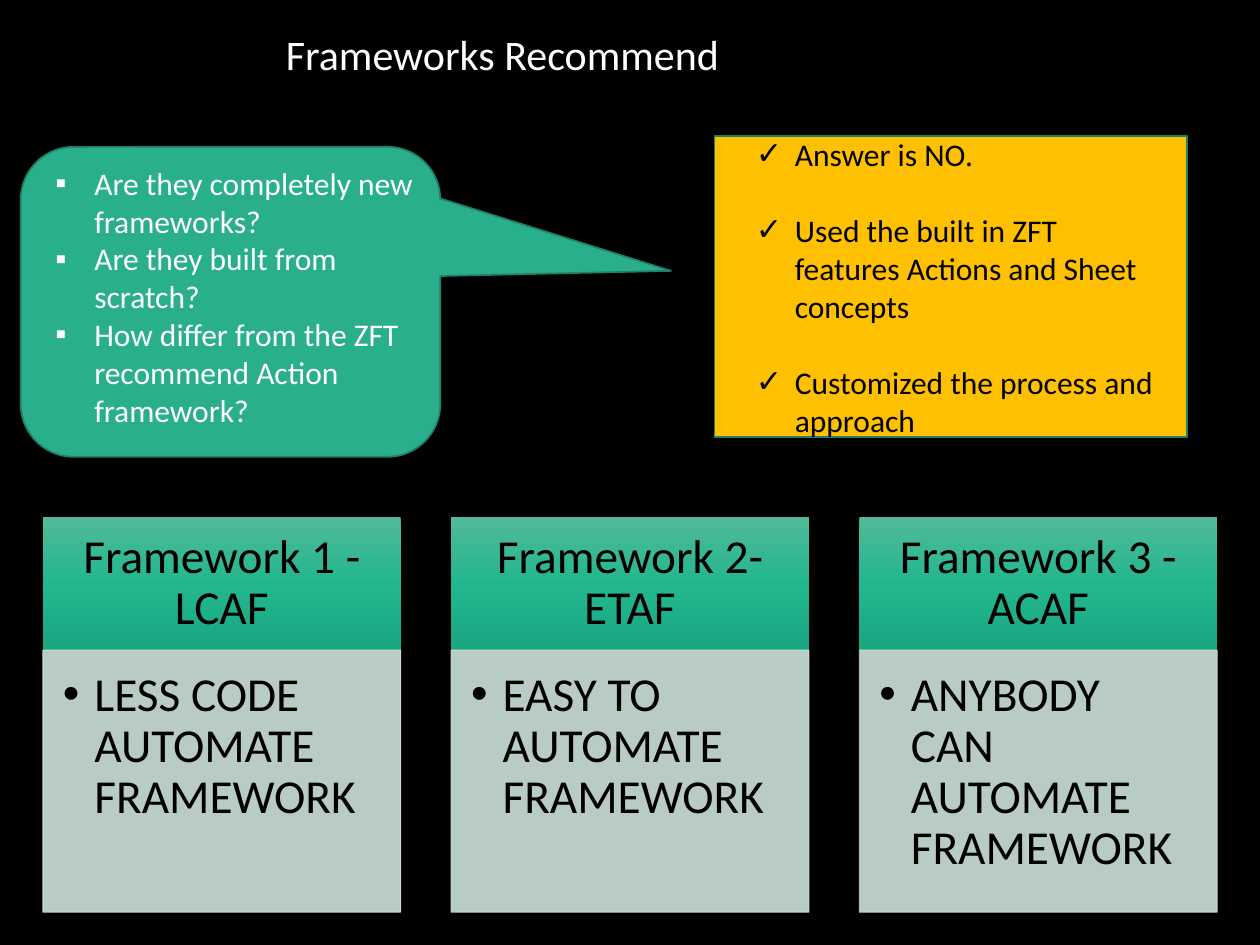
from copy import deepcopy

from lxml.etree import SubElement
from pptx import Presentation
from pptx.dml.color import RGBColor
from pptx.enum.shapes import MSO_SHAPE
from pptx.enum.text import MSO_ANCHOR, PP_ALIGN
from pptx.oxml.ns import qn
from pptx.util import Inches, Pt

BLACK = RGBColor(0x00, 0x00, 0x00)
WHITE = RGBColor(0xFF, 0xFF, 0xFF)
GREEN = RGBColor(0x29, 0xAF, 0x8C)
DARK_GREEN = RGBColor(0x1E, 0x81, 0x68)
AMBER = RGBColor(0xFF, 0xC0, 0x00)
PALE_GREEN = RGBColor(0xCD, 0xE3, 0xDA)
HEADER_STOPS = [
    (0, RGBColor(0x52, 0xBA, 0x9A)),
    (0.5, RGBColor(0x22, 0xB6, 0x8F)),
    (1, RGBColor(0x19, 0xA7, 0x82)),
]

FRAMEWORKS = [
    ("Framework 1 - LCAF", "LESS CODE AUTOMATE FRAMEWORK"),
    ("Framework 2- ETAF", "EASY TO AUTOMATE FRAMEWORK"),
    ("Framework 3 - ACAF", "ANYBODY CAN AUTOMATE FRAMEWORK"),
]
QUESTIONS = [
    "Are they completely new frameworks?",
    "Are they built from scratch?",
    "How differ from the ZFT recommend Action framework?",
]
ANSWERS = [
    "Answer is NO.",
    "Used the built in ZFT features Actions and Sheet concepts",
    "Customized the process and approach",
]


def write(tf, lines, size=18, color=BLACK, align=PP_ALIGN.LEFT, anchor=MSO_ANCHOR.TOP,
          insets=(0.1, 0.05, 0.1, 0.05), bullet=None, indent=0.31, spacing=1.0, gap=0):
    tf.word_wrap = True
    tf.vertical_anchor = anchor
    tf.margin_left, tf.margin_top, tf.margin_right, tf.margin_bottom = map(Inches, insets)
    for i, line in enumerate(lines):
        p = tf.paragraphs[0] if i == 0 else tf.add_paragraph()
        p.alignment = align
        p.line_spacing = spacing
        p.space_before = Pt(gap if i else 0)
        r = p.add_run()
        r.text = line
        r.font.name = "Calibri"
        r.font.size = Pt(size)
        r.font.color.rgb = color
        if bullet:
            pPr = p._p.get_or_add_pPr()
            pPr.set("marL", str(Inches(indent)))
            pPr.set("indent", str(-Inches(indent)))
            SubElement(pPr, qn("a:buFont")).set("typeface", "Arial")
            SubElement(pPr, qn("a:buChar")).set("char", bullet)


class SlideBuilder:
    def __init__(self, prs, background):
        self.s = prs.slides.add_slide(prs.slide_layouts[6])
        self.s.background.fill.solid()
        self.s.background.fill.fore_color.rgb = background

    def text(self, x, y, w, h, lines, **style):
        sp = self.s.shapes.add_textbox(Inches(x), Inches(y), Inches(w), Inches(h))
        write(sp.text_frame, lines, **style)

    def shape(self, kind, x, y, w, h, fill=None, line=None, width=1, alpha=None):
        sp = self.s.shapes.add_shape(kind, Inches(x), Inches(y), Inches(w), Inches(h))
        sp.shadow.inherit = False
        if fill is not None:
            sp.fill.solid()
            sp.fill.fore_color.rgb = fill
        if line is None:
            sp.line.fill.background()
        else:
            sp.line.color.rgb = line
            sp.line.width = Pt(width)
        if alpha is not None:
            for clr in sp._element.spPr.iter(qn("a:srgbClr")):
                SubElement(clr, qn("a:alpha")).set("val", str(alpha * 1000))
        return sp

    def gradient(self, x, y, w, h, stops):
        sp = self.shape(MSO_SHAPE.RECTANGLE, x, y, w, h)
        sp.fill.gradient()
        sp.fill.gradient_angle = 270
        gs_list = next(sp._element.spPr.iter(qn("a:gsLst")))
        gs_list.insert(1, deepcopy(gs_list[0]))
        for stop, (position, color) in zip(sp.fill.gradient_stops, stops):
            stop.position = position
            stop.color.rgb = color
        return sp

    def framework(self, x, name, meaning):
        header = self.gradient(x, 4.1, 2.84, 1.06, HEADER_STOPS)
        write(header.text_frame, [name], size=27, align=PP_ALIGN.CENTER,
              anchor=MSO_ANCHOR.MIDDLE, insets=(0.21, 0.12, 0.21, 0.12), spacing=0.9)
        body = self.shape(MSO_SHAPE.RECTANGLE, x, 5.16, 2.84, 2.08, PALE_GREEN,
                          PALE_GREEN, width=0.5, alpha=90)
        write(body.text_frame, [meaning], size=27, insets=(0.16, 0.16, 0.21, 0.24),
              bullet="•", indent=0.25, spacing=0.9)

    def callout(self, x, y, w, h, adjustments):
        sp = self.shape(MSO_SHAPE.ROUNDED_RECTANGULAR_CALLOUT, x, y, w, h, GREEN, DARK_GREEN)
        sp.rotation = 270
        for i, value in enumerate(adjustments):
            sp.adjustments[i] = value


def main():
    prs = Presentation()
    prs.slide_width, prs.slide_height = Inches(10), Inches(7.5)
    slide = SlideBuilder(prs, BLACK)
    slide.text(2.17, 0.18, 5.42, 0.5, ["Frameworks Recommend"], size=24, color=WHITE)
    for i, (name, meaning) in enumerate(FRAMEWORKS):
        slide.framework(0.34 + 3.24 * i, name, meaning)
    slide.callout(0.6, 0.73, 2.46, 3.33, (0.1, 1.05, 0.17))
    slide.text(0.34, 1.25, 3.08, 2.22, QUESTIONS, color=WHITE, bullet="▪")
    slide.shape(MSO_SHAPE.RECTANGLE, 5.67, 1.08, 3.75, 2.39, AMBER, DARK_GREEN)
    slide.text(5.9, 1.02, 3.38, 2.52, ANSWERS, bullet="✓", gap=22)
    prs.save("out.pptx")


if __name__ == "__main__":
    main()
